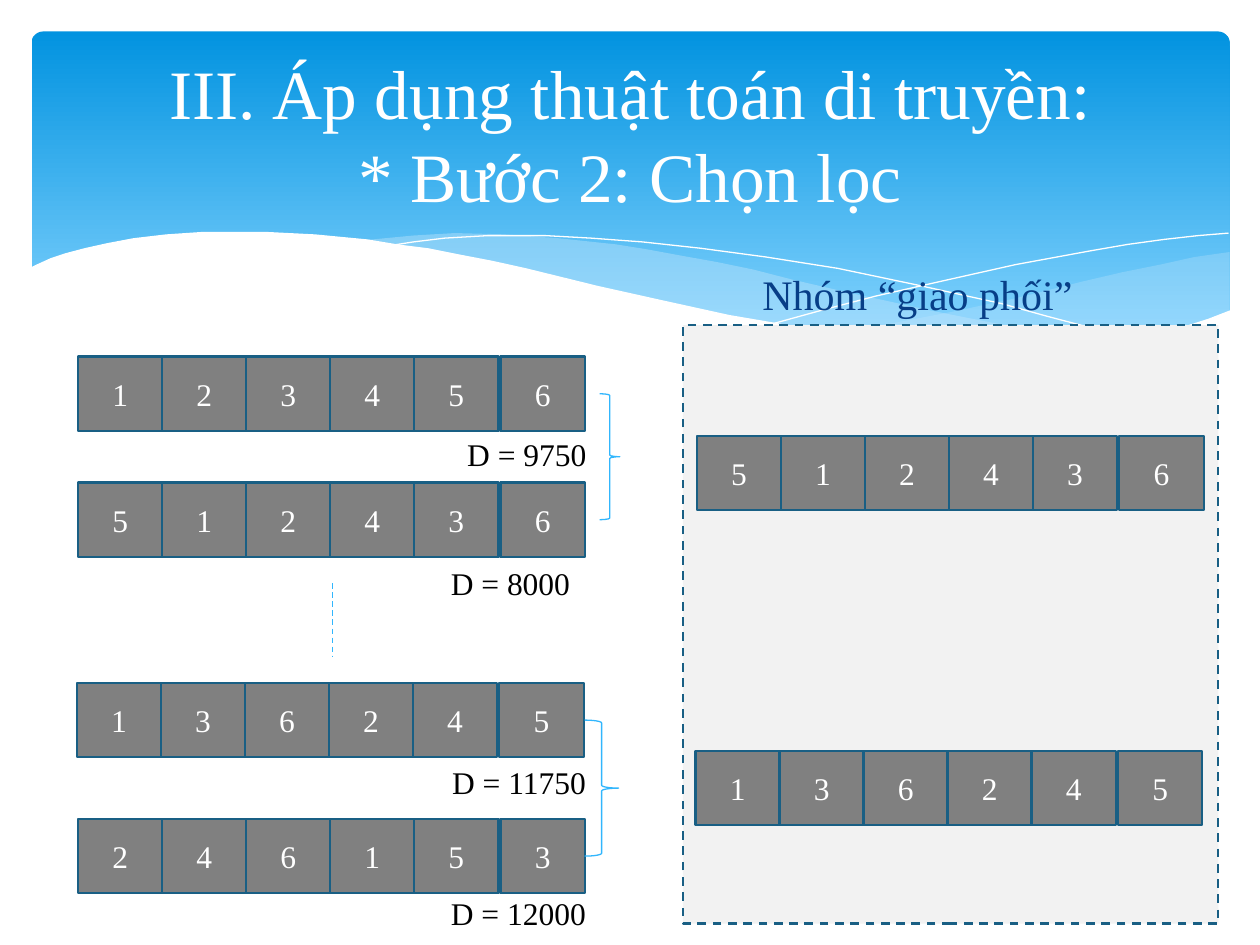
from lxml.etree import SubElement
from pptx import Presentation
from pptx.dml.color import RGBColor
from pptx.enum.dml import MSO_LINE
from pptx.enum.shapes import MSO_CONNECTOR, MSO_SHAPE
from pptx.enum.text import MSO_ANCHOR, MSO_AUTO_SIZE, PP_ALIGN
from pptx.oxml.ns import qn
from pptx.util import Inches, Pt

THEME = {
    "font": "Times New Roman",
    "white": "FFFFFF", "black": "000000", "heading": "073E87",
    "sky_top": "0293E0", "sky_bottom": "83D3FE", "mist": "C6E7FC",
    "panel": "F2F2F2", "gene": "808080", "edge": "195F84", "accent": "31B6FD",
    "title_size": 39.6, "heading_size": 24, "text_size": 18,
}

deck = Presentation()
deck.slide_width, deck.slide_height = Inches(10), Inches(7.5)
page = deck.slides.add_slide(deck.slide_layouts[1])
shapes = page.shapes

# Square grid of 10 columns by 7.5 rows; every length below counts grid squares
square = deck.slide_width // 10


def style(shape, place=(), fill=None, line=None, width=0.75, dash=None):
    """Place a shape as (left, top, width, height) and set its fill and line."""
    for name, squares in zip(("left", "top", "width", "height"), place):
        setattr(shape, name, round(squares * square))
    shape.shadow.inherit = False
    if fill:
        shape.fill.solid()
        shape.fill.fore_color.rgb = RGBColor.from_string(THEME[fill])
    else:
        shape.fill.background()
    if line:
        shape.line.color.rgb = RGBColor.from_string(THEME[line])
        for name, value in {"width": Pt(width), "dash_style": dash}.items():
            setattr(shape.line, name, value)
    else:
        shape.line.fill.background()


def write(shape, text, size, color, align=PP_ALIGN.LEFT, anchor=MSO_ANCHOR.TOP, wrap=True):
    """Put one formatted paragraph into a shape."""
    frame = shape.text_frame
    frame.text = text
    frame_format = {"word_wrap": wrap, "vertical_anchor": anchor, "auto_size": MSO_AUTO_SIZE.NONE}
    for name, value in frame_format.items():
        setattr(frame, name, value)
    para = frame.paragraphs[0]
    para.alignment, para.space_before = align, Pt(0)
    for span in para.runs:
        for name, value in {"name": THEME["font"], "size": Pt(THEME[size])}.items():
            setattr(span.font, name, value)
        span.font.color.rgb = RGBColor.from_string(THEME[color])


# Sky banner, shaded from top to bottom
banner = shapes.add_shape(MSO_SHAPE.ROUNDED_RECTANGLE, 0, 0, square, square)
style(banner, (0.25, 0.25, 9.51, 2.7))
banner.adjustments[0] = 0.034
banner.fill.gradient()
banner.fill.gradient_angle = 270
for stop, color, position in zip(banner.fill.gradient_stops, ("sky_top", "sky_bottom"), (0, 0.9)):
    stop.color.rgb = RGBColor.from_string(THEME[color])
    stop.position = position

# Outlines of the waves, as points on the grid
right_mist = [
    (9.76, 2), (9.48, 2.04), (9.21, 2.1), (8.91, 2.16), (8.61, 2.23), (8.05, 2.37),
    (7.53, 2.48), (7.06, 2.57), (6.61, 2.65), (6.91, 2.69), (7.19, 2.72), (7.45, 2.75),
    (7.69, 2.77), (8.03, 2.78), (8.35, 2.77), (8.63, 2.75), (8.89, 2.72), (9.13, 2.67),
    (9.35, 2.62), (9.49, 2.57), (9.76, 2.47)]
middle_mist = [
    (8.93, 2.73), (8.66, 2.69), (8.07, 2.6), (7.41, 2.47), (6.68, 2.31), (6.29, 2.22),
    (5.98, 2.14), (5.69, 2.08), (5.41, 2.03), (5.14, 1.98), (4.89, 1.94), (4.42, 1.89),
    (3.99, 1.86), (3.61, 1.85), (3.28, 1.87), (2.86, 1.91), (3.23, 1.96), (3.62, 2.03),
    (4.04, 2.11), (4.49, 2.22), (4.91, 2.32), (5.3, 2.4), (5.66, 2.48), (6.01, 2.55),
    (6.34, 2.61), (6.65, 2.66), (6.95, 2.7), (7.22, 2.74), (7.48, 2.76), (7.73, 2.77),
    (8.07, 2.78), (8.38, 2.78), (8.67, 2.76)]
falling_crest = [
    (3.09, 1.95), (3.28, 1.92), (3.53, 1.89), (3.87, 1.87), (4.33, 1.87), (4.69, 1.89),
    (5.1, 1.92), (5.56, 1.97), (6.08, 2.04), (6.65, 2.13), (7.27, 2.26), (7.95, 2.41),
    (8.31, 2.51), (8.69, 2.61), (9.07, 2.72)]
rising_crest = [
    (6.13, 2.57), (6.53, 2.46), (6.95, 2.35), (7.48, 2.23), (8.06, 2.1), (8.66, 1.99),
    (8.95, 1.94), (9.24, 1.9), (9.51, 1.87), (9.75, 1.85)]
white_front = [
    (9.77, 2.46), (9.59, 2.53), (9.4, 2.59), (9.2, 2.65), (8.99, 2.69), (8.75, 2.73),
    (8.5, 2.75), (8.09, 2.77), (7.78, 2.76), (7.44, 2.74), (7.08, 2.7), (6.68, 2.65),
    (6.26, 2.58), (5.79, 2.5), (5.29, 2.39), (4.75, 2.27), (4.18, 2.13), (3.91, 2.07),
    (3.65, 2.02), (3.4, 1.97), (3.16, 1.94), (2.92, 1.9), (2.5, 1.86), (2.11, 1.84),
    (1.61, 1.84), (1.32, 1.86), (1.06, 1.89), (0.85, 1.93), (0.67, 1.97), (0.52, 2.01),
    (0.4, 2.05), (0.29, 2.1), (0.23, 2.13), (0.23, 3.29), (9.77, 3.29)]

# Waves from back to front: points, fill, line, opacity in percent
waves = [
    (right_mist, "mist", None, 29),
    (middle_mist, "mist", None, 40),
    (falling_crest, None, "white", 100),
    (rising_crest, None, "white", 100),
    (white_front, "white", None, 100),
]
for points, fill, line, opacity in waves:
    # The builder keeps whole numbers only, so points go in as hundredths of a square
    start, *rest = [(round(100 * x), round(100 * y)) for x, y in points]
    outline = shapes.build_freeform(*start, scale=square / 100)
    outline.add_line_segments(rest, close=fill is not None)
    wave = outline.convert_to_shape()
    style(wave, fill=fill, line=line, width=0)
    if opacity < 100:
        for color in wave._element.spPr.iter(qn("a:srgbClr")):
            SubElement(color, qn("a:alpha"), val=str(opacity * 1000))

# Heading and title placeholders, brought in front of the waves
title, heading = shapes.title, page.placeholders[1]
style(heading, (0.95, 2.08, 8.1, 4.62))
style(title, (0.5, 0.37, 9, 1.37))
for box in (heading, title):
    shapes._spTree.append(box._element)
write(title, "III. Áp dụng thuật toán di truyền:\v* Bước 2: Chọn lọc",
      "title_size", "white", PP_ALIGN.CENTER, MSO_ANCHOR.MIDDLE)
write(heading, "Nhóm “giao phối”", "heading_size", "heading")
properties = heading.text_frame.paragraphs[0]._p.get_or_add_pPr()
for name, value in {"marL": 5 * square, "indent": 0}.items():
    properties.set(name, str(value))
SubElement(properties, qn("a:buNone"))

# Panel of the mating group
panel = shapes.add_shape(MSO_SHAPE.RECTANGLE, 0, 0, square, square)
style(panel, (5.42, 2.58, 4.25, 4.75), "panel", "edge", 1.25, MSO_LINE.DASH)

# Chromosomes: the population on the left, the selected ones in the panel
gene_width, gene_height, gene_step, last_gap = 0.67, 0.59, 2 / 3, 0.02
population = [(0.62, 2.83, "123456"), (0.62, 3.83, "512436"),
              (0.61, 5.42, "136245"), (0.62, 6.5, "246153")]
selected = [(5.53, 3.46, population[1][2]), (5.52, 5.96, population[2][2])]
for left, top, genes in population + selected:
    last = len(genes) - 1
    for index, digit in enumerate(genes):
        gene_left = left + index * gene_step + (last_gap if index == last else 0)
        gene = shapes.add_shape(MSO_SHAPE.RECTANGLE, 0, 0, square, square)
        style(gene, (gene_left, top, gene_width, gene_height), "gene", "edge", 1.25)
        write(gene, digit, "text_size", "white", PP_ALIGN.CENTER, MSO_ANCHOR.MIDDLE)

# Distance under each chromosome of the population
distances = [(3.61, 3.4, 1.16, 9750), (3.48, 4.43, 1.16, 8000),
             (3.49, 6.01, 1.27, 11750), (3.48, 7.05, 1.28, 12000)]
for left, top, width, distance in distances:
    label = shapes.add_textbox(0, 0, square, square)
    style(label, (left, top, width, 0.4))
    write(label, f"D = {distance}", "text_size", "black", wrap=False)

# Braces joining the middles of each compared pair
pairs = [(4.76, 0.16, population[:2]), (4.64, 0.27, population[2:])]
for left, width, pair in pairs:
    upper, lower = (top + gene_height / 2 for _, top, _ in pair)
    brace = shapes.add_shape(MSO_SHAPE.RIGHT_BRACE, 0, 0, square, square)
    style(brace, (left, upper, width, lower - upper), line="accent")

# Dashed line standing for the chromosomes left out
omission_ends = [round(squares * square) for squares in (2.64, 4.63, 2.64, 5.21)]
omission = shapes.add_connector(MSO_CONNECTOR.STRAIGHT, *omission_ends)
omission.line.color.rgb = RGBColor.from_string(THEME["accent"])
for name, value in {"width": Pt(0.75), "dash_style": MSO_LINE.DASH}.items():
    setattr(omission.line, name, value)
SubElement(omission._element.spPr, qn("a:effectLst"))

deck.save("out.pptx")
